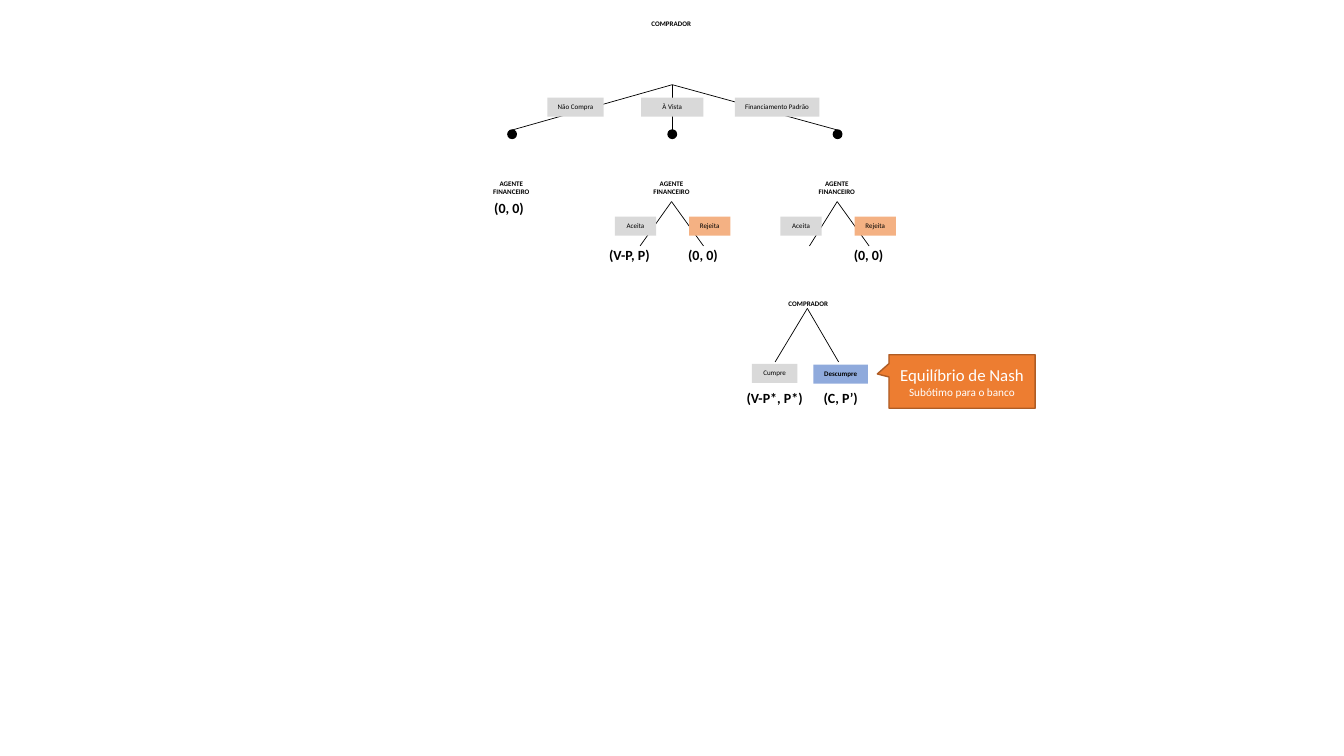
import pptx
import pptx.util
import pptx.dml.color
import pptx.enum.shapes
import pptx.enum.text
import pptx.oxml.ns
from lxml import etree

Pt = pptx.util.Pt
SHAPE = pptx.enum.shapes.MSO_SHAPE
BLACK, GREY, ORANGE, BLUE = "000000", "D9D9D9", "F4B183", "8FAADC"
LABEL = {"size": Pt(5), "bold": False}
HEADING = {"size": Pt(5), "bold": True}
PAYOFF = {"size": Pt(10), "bold": True}


def paint(color_format, value):
    color_format.rgb = pptx.dml.color.RGBColor.from_string(value)


def write(s, lines, color=BLACK, wrap=True, grow=True):
    """Fill a shape with centred paragraphs, given as (text, font) pairs."""
    tf = s.text_frame
    tf.word_wrap = wrap
    if grow:
        tf.auto_size = pptx.enum.text.MSO_AUTO_SIZE.SHAPE_TO_FIT_TEXT
    for i, (text, font) in enumerate(lines):
        p = tf.paragraphs[0] if i == 0 else tf.add_paragraph()
        p.alignment = pptx.enum.text.PP_ALIGN.CENTER
        r = p.add_run()
        r.text = text
        for name, value in {"name": "Calibri", **font}.items():
            setattr(r.font, name, value)
        paint(r.font.color, color)


def add_text(shapes, text, center, top, width, height, font):
    s = shapes.add_textbox(Pt(center - width / 2), Pt(top), Pt(width), Pt(height))
    write(s, [(text, font)])


def add_heading(shapes, text, center, top, height=13.6):
    add_text(shapes, text, center, top, 44.6, height, HEADING)


def add_payoff(shapes, text, center, top, width=44.6):
    add_text(shapes, text, center, top, width, 19.4, PAYOFF)


def add_shape(shapes, kind, left, top, width, height, fill, line=None):
    s = shapes.add_shape(kind, Pt(left), Pt(top), Pt(width), Pt(height))
    s.shadow.inherit = False
    s.fill.solid()
    paint(s.fill.fore_color, fill)
    if line:
        paint(s.line.color, line)
        s.line.width = Pt(1)
    else:
        s.line.fill.background()
    return s


def add_label(shapes, text, center, top, width, fill=GREY, font=LABEL):
    s = add_shape(shapes, SHAPE.RECTANGLE, center - width / 2, top, width, 13.6, fill)
    s.text_frame.vertical_anchor = pptx.enum.text.MSO_ANCHOR.TOP
    write(s, [(text, font)], wrap=False)


def add_branches(shapes, x, top, ends, bottom):
    for end in ends:
        c = shapes.add_connector(pptx.enum.shapes.MSO_CONNECTOR.STRAIGHT,
                                 Pt(x), Pt(top), Pt(end), Pt(bottom))
        paint(c.line.color, BLACK)
        c.line.width = Pt(0.5)
        sp_pr = c._element.find(pptx.oxml.ns.qn("p:spPr"))
        etree.SubElement(sp_pr, pptx.oxml.ns.qn("a:effectLst"))


def add_agent_decision(shapes, x, left_end):
    add_branches(shapes, x, 144, [left_end, x + 22.8], 175.7)
    add_label(shapes, "Aceita", x - 25.8, 154.8, 29.5)
    add_label(shapes, "Rejeita", x + 27.2, 154.8, 29.5, ORANGE)
    add_payoff(shapes, "(0, 0)", x + 22.4, 172.8)


def main():
    prs = pptx.Presentation()
    prs.slide_width, prs.slide_height = Pt(960), Pt(540)
    shapes = prs.slides.add_slide(prs.slide_layouts[6]).shapes

    # Buyer's first choice
    nodes = [365.8, 480.2, 598.3]
    add_heading(shapes, "COMPRADOR", 479.5, 10.1)
    for x in nodes:
        add_shape(shapes, SHAPE.OVAL, x - 3, 92.9, 6, 6, BLACK, BLACK)
    add_branches(shapes, 480.2, 60.5, nodes, 92.9)
    for text, center, width in [("Não Compra", 411.1, 40.3), ("À Vista", 480.2, 44.6),
                                ("Financiamento Padrão", 555.1, 60.5)]:
        add_label(shapes, text, center, 69.8, width)

    # Financial agent's reply
    for x in nodes:
        add_heading(shapes, "AGENTE FINANCEIRO", x - 0.5, 124.6, 19.4)
    add_payoff(shapes, "(0, 0)", 363.6, 139)
    add_agent_decision(shapes, 479.7, 457.2)
    add_payoff(shapes, "(V-P, P)", 449.6, 172.8, 55.4)
    add_agent_decision(shapes, 598, 578.2)

    # Buyer's second choice
    add_heading(shapes, "COMPRADOR", 577.4, 210.2)
    add_branches(shapes, 576.7, 220.3, [553.7, 599], 258.5)
    add_label(shapes, "Cumpre", 553.3, 260, 32.4)
    add_label(shapes, "Descumpre", 600.5, 260.5, 38.9, BLUE, HEADING)
    add_payoff(shapes, "(V-P*, P*)", 553.3, 275, 59.8)
    add_payoff(shapes, "(C, P’)", 600.5, 275)

    # Equilibrium callout
    s = add_shape(shapes, SHAPE.RECTANGULAR_CALLOUT, 635, 253.4, 104.4, 38.2,
                  "ED7D31", "AF5C24")
    s.adjustments[0], s.adjustments[1] = -0.58, -0.14
    s.text_frame.vertical_anchor = pptx.enum.text.MSO_ANCHOR.MIDDLE
    write(s, [("Equilíbrio de Nash", {"size": Pt(12)}),
              ("Subótimo para o banco", {"size": Pt(8)})], "FFFFFF", grow=False)

    prs.save("out.pptx")


if __name__ == "__main__":
    main()
